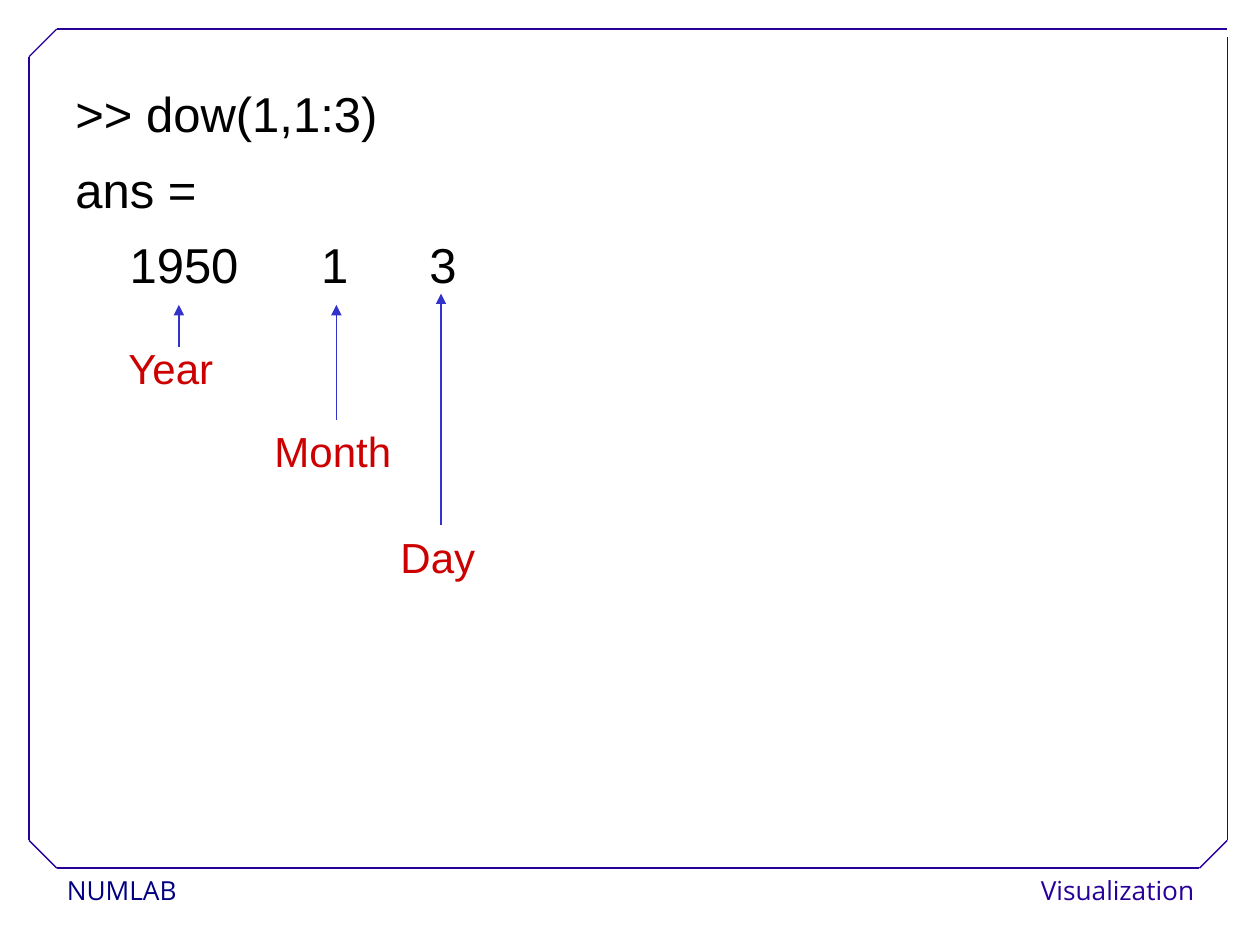
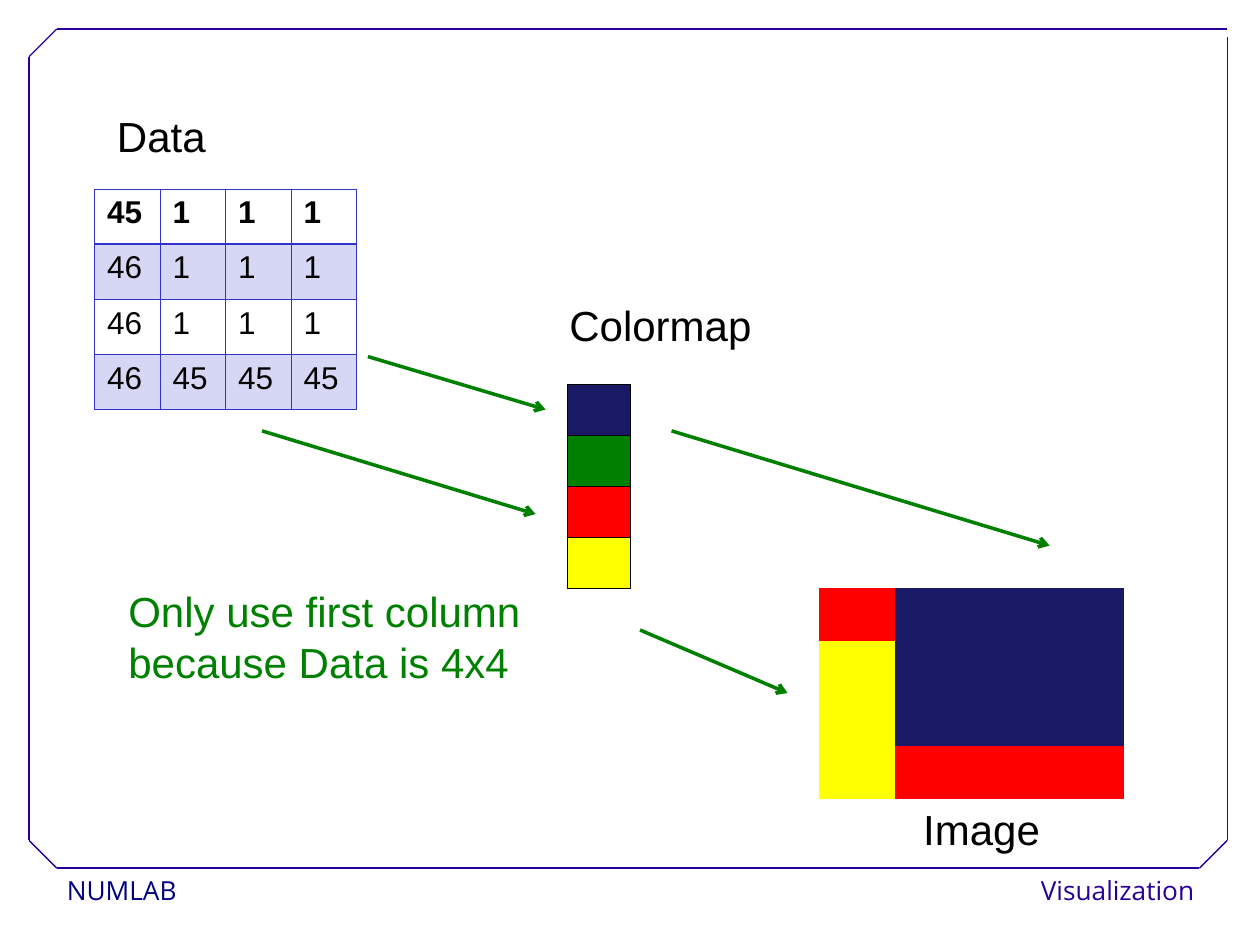
from lxml import etree
from pptx import Presentation
from pptx.dml.color import RGBColor
from pptx.enum.shapes import MSO_CONNECTOR, MSO_SHAPE
from pptx.enum.text import MSO_ANCHOR, PP_ALIGN
from pptx.oxml.ns import qn
from pptx.util import Inches, Pt

STRAIGHT = MSO_CONNECTOR.STRAIGHT
RECTANGLE = MSO_SHAPE.RECTANGLE
TOP = MSO_ANCHOR.TOP
LEFT, CENTER, RIGHT = PP_ALIGN.LEFT, PP_ALIGN.CENTER, PP_ALIGN.RIGHT
BLANK_LAYOUT = 6

COLORS = {
    "white": "FFFFFF", "black": "000000", "frame": "280099", "footer": "000080",
    "accent": "3333CC", "band": "D6D6F5", "label": "CC0000",
    "navy": "191966", "green": "008000", "red": "FF0000", "yellow": "FFFF00",
}


def rgb(name):
    return RGBColor.from_string(COLORS[name])


class Deck:
    """Holds the shared style and the slide being drawn."""

    def __init__(self):
        self.presentation = Presentation()
        self.presentation.slide_width = Inches(10)
        self.presentation.slide_height = Inches(7.5)
        self.slide = None

    def add_slide(self):
        layout = self.presentation.slide_layouts[BLANK_LAYOUT]
        self.slide = self.presentation.slides.add_slide(layout)
        self.footer("NUMLAB", 0.44, 1.95, "footer", LEFT)
        self.footer("Visualization", 8.3, 1.27, "frame", RIGHT)
        self.frame()

    def format_text(self, paragraph, text, color="black", size=24,
                    font="Arial", bold=False, **paragraph_format):
        run = paragraph.add_run()
        run.text = text
        run.font.color.rgb = rgb(color)
        for name, value in {"size": Pt(size), "name": font, "bold": bold}.items():
            setattr(run.font, name, value)
        for name, value in paragraph_format.items():
            setattr(paragraph, name, value)

    def footer(self, text, left, width, color, alignment):
        shape = self.slide.shapes.add_shape(
            RECTANGLE, Inches(left), Inches(6.89), Inches(width), Inches(0.37))
        shape.shadow.inherit = False
        shape.fill.solid()
        shape.fill.fore_color.rgb = rgb("white")
        shape.line.fill.background()
        frame_format = {
            "margin_left": Inches(0.09), "margin_right": Inches(0.09),
            "margin_top": Inches(0.04), "margin_bottom": Inches(0.04),
            "word_wrap": False, "vertical_anchor": TOP,
        }
        for name, value in frame_format.items():
            setattr(shape.text_frame, name, value)
        self.format_text(shape.text_frame.paragraphs[0], text, color, 15, "Open Sans",
                         alignment=alignment, line_spacing=1.02)

    def frame(self):
        """Draw the border with cut corners; the top right corner stays open."""
        left, top, right, bottom, cut = 0.23, 0.23, 9.74, 6.89, 0.22
        outline = [(right, top), (left + cut, top), (left, top + cut),
                   (left, bottom - cut), (left + cut, bottom),
                   (right - cut, bottom), (right, bottom - cut), (right, 0.29)]
        for start, end in zip(outline, outline[1:]):
            self.line(start, end, "frame")

    def line(self, start, end, color, width=0.75, head=None):
        points = [Inches(value) for value in (*start, *end)]
        connector = self.slide.shapes.add_connector(STRAIGHT, *points)
        connector.line.color.rgb = rgb(color)
        connector.line.width = Pt(width)
        if head:
            etree.SubElement(connector.line._get_or_add_ln(), qn("a:tailEnd"), type=head)
        etree.SubElement(connector._element.spPr, qn("a:effectLst"))

    def text(self, lines, left, top, width, height=0.5, tabs=(), **text_format):
        box = self.slide.shapes.add_textbox(
            Inches(left), Inches(top), Inches(width), Inches(height))
        box.text_frame.word_wrap = True
        for index, line in enumerate(lines):
            paragraph = (box.text_frame.add_paragraph() if index
                         else box.text_frame.paragraphs[0])
            if tabs:
                properties = paragraph._p.get_or_add_pPr()
                tab_list = etree.SubElement(properties, qn("a:tabLst"))
                for position in tabs:
                    etree.SubElement(tab_list, qn("a:tab"),
                                     pos=str(Inches(position)), algn="l")
            self.format_text(paragraph, line, **text_format)

    def table(self, row_count, column_count, left, top, width, height):
        shape = self.slide.shapes.add_table(
            row_count, column_count, Inches(left), Inches(top),
            Inches(width), Inches(height))
        table = shape.table
        table.first_row = table.horz_banding = False
        for column in table.columns:
            column.width = Inches(width / column_count)
        for row in table.rows:
            row.height = Inches(height / row_count)
        return table

    def cell_style(self, cell, fill=None, border=None, top=0.45, bottom=0.45):
        if fill:
            cell.fill.solid()
            cell.fill.fore_color.rgb = rgb(fill)
        else:
            cell.fill.background()
        properties = cell._tc.get_or_add_tcPr()
        sides = {"L": 0.45, "R": 0.45, "T": top, "B": bottom}
        for index, (side, width) in enumerate(sides.items()):
            edge = etree.Element(qn(f"a:ln{side}"), w=str(Pt(width)))
            if border:
                paint = etree.SubElement(edge, qn("a:solidFill"))
                etree.SubElement(paint, qn("a:srgbClr"), val=COLORS[border])
            else:
                etree.SubElement(edge, qn("a:noFill"))
            properties.insert(index, edge)

    def number_table(self, rows, *place):
        """Show numbers with a bold first row and every second row tinted."""
        table = self.table(len(rows), len(rows[0]), *place)
        for row_index, row in enumerate(rows):
            for column_index, number in enumerate(row):
                cell = table.cell(row_index, column_index)
                self.cell_style(cell, "band" if row_index % 2 else None, "accent",
                                top=0.96 if row_index == 1 else 0.45,
                                bottom=0.96 if row_index == 0 else 0.45)
                self.format_text(cell.text_frame.paragraphs[0], str(number),
                                 size=18, bold=row_index == 0)

    def color_table(self, rows, *place, border=None):
        table = self.table(len(rows), len(rows[0]), *place)
        for row_index, row in enumerate(rows):
            for column_index, color in enumerate(row):
                cell = table.cell(row_index, column_index)
                cell.margin_top = cell.margin_bottom = 0
                self.cell_style(cell, color, border)


def date_columns_slide(deck):
    deck.add_slide()
    deck.text([">> dow(1,1:3)", "ans =", "\t1950\t1\t3"], 0.5, 0.67, 8.58, 2.08,
              tabs=(0.43, 1.95, 2.81), size=28, line_spacing=0.9, space_after=Pt(12.9))
    for label, left, top in [("Year", 0.92, 2.67), ("Month", 2.08, 3.33),
                             ("Day", 3.08, 4.17)]:
        deck.text([label], left, top, 1.42, color="label")
    for x, start, end in [(1.42, 2.75, 2.42), (2.67, 3.33, 2.42), (3.5, 4.17, 2.33)]:
        deck.line((x, start), (x, end), "accent", head="triangle")


def colormap_slide(deck):
    data = [[45, 1, 1, 1], [46, 1, 1, 1], [46, 1, 1, 1], [46, 45, 45, 45]]
    colormap = ["navy", "green", "red", "yellow"]
    color_of = {1: "navy", 45: "red", 46: "yellow"}
    deck.add_slide()
    deck.number_table(data, 0.75, 1.5, 2.08, 1.75)
    deck.color_table([[color_of[number] for number in row] for row in data],
                     6.5, 4.67, 2.42, 1.67)
    deck.color_table([[color] for color in colormap], 4.5, 3.05, 0.5, 1.62,
                     border="black")
    for start, end in [((2.08, 3.42), (4.25, 4.08)), ((2.92, 2.83), (4.33, 3.25)),
                       ((5.08, 5), (6.25, 5.5)), ((5.33, 3.42), (8.33, 4.33))]:
        deck.line(start, end, "green", 2, "arrow")
    for label, left, top, alignment in [("Data", 0.83, 0.83, LEFT),
                                        ("Colormap", 4.42, 2.33, LEFT),
                                        ("Image", 6.83, 6.33, CENTER)]:
        deck.text([label], left, top, 1.92, alignment=alignment)
    deck.text(["Only use first column because Data is 4x4"], 0.92, 4.6, 3.42, 0.9,
              color="green")


def main():
    deck = Deck()
    date_columns_slide(deck)
    colormap_slide(deck)
    deck.presentation.save("out.pptx")


if __name__ == "__main__":
    main()
